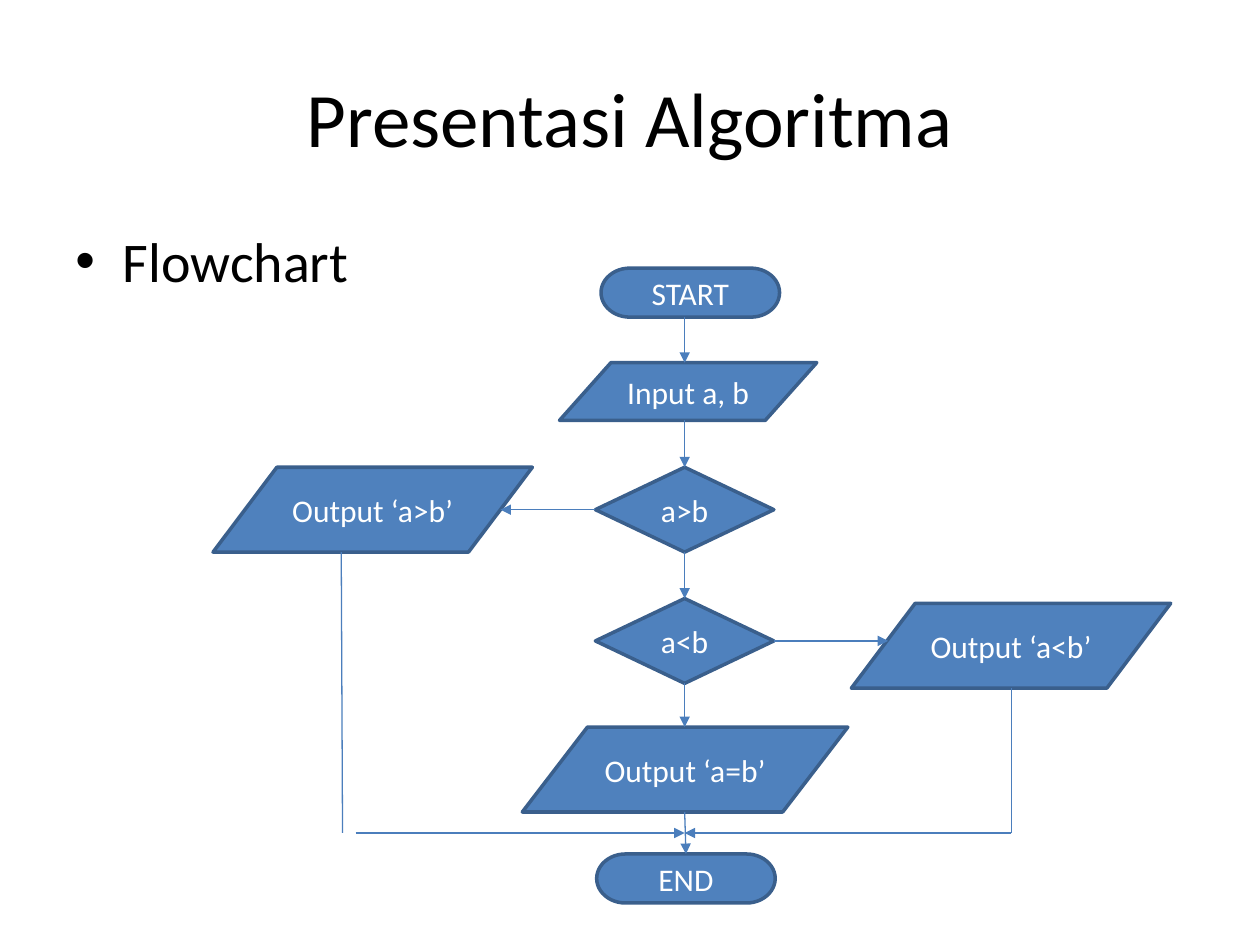
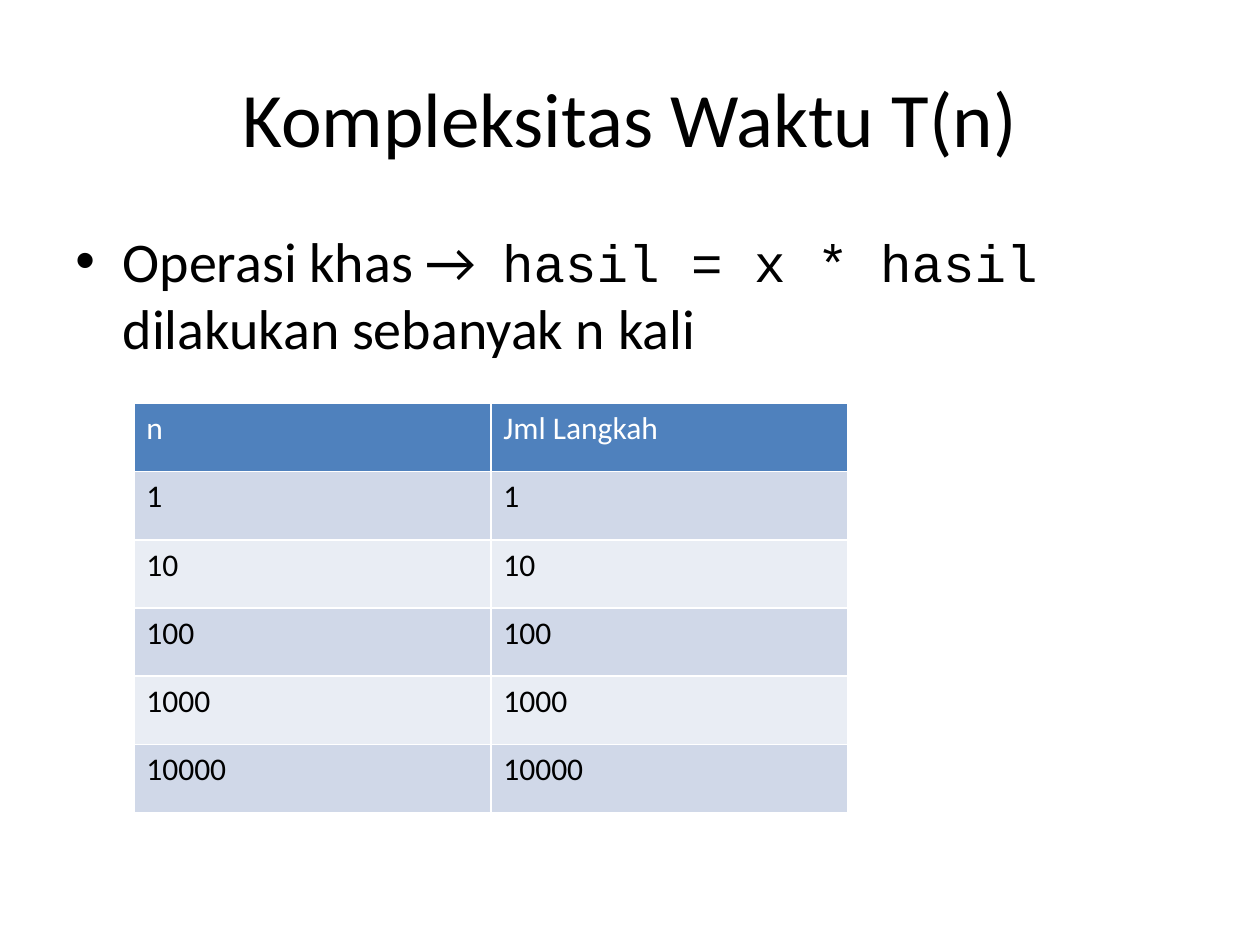
from dataclasses import dataclass
from typing import NamedTuple

from lxml.etree import SubElement
from pptx import Presentation
from pptx.dml.color import RGBColor
from pptx.enum.shapes import MSO_CONNECTOR as Connector, MSO_SHAPE as Preset
from pptx.enum.text import MSO_ANCHOR as Anchor, PP_ALIGN as Align
from pptx.oxml import parse_xml
from pptx.oxml.ns import nsdecls, qn
from pptx.util import Pt

BLUE, NODE_EDGE, LINK = "4F81BD", "3A5F8C", "4B7EBC"
WHITE, BLACK = "FFFFFF", "000000"
BANDS = ("D0D8E8", "E9EDF4")
SANS, MONO = "Calibri", "Courier New"
TOP, LEFT, BOTTOM, RIGHT = range(4)
SPINE, MERGE = 391.25, 476


@dataclass(frozen=True)
class Node:
    text: str
    preset: Preset
    left: float
    top: float
    width: float
    height: float


class Point(NamedTuple):
    x: float
    y: float


class Site(NamedTuple):
    node: str
    side: int


class Link(NamedTuple):
    begin: Point | Site
    end: Point | Site
    arrow: bool = True


class Piece(NamedTuple):
    text: str
    size: float = 32
    font: str = SANS


TERMINATOR = Preset.FLOWCHART_TERMINATOR
DATA = Preset.FLOWCHART_DATA
DECISION = Preset.FLOWCHART_DECISION

NODES = (
    Node("START", TERMINATOR, 343.5, 153.25, 102, 28),
    Node("Input a, b", DATA, 319.75, 207.25, 147, 33),
    Node("a<b", DECISION, 340.25, 342, 102, 48.5),
    Node("a>b", DECISION, 340.25, 267, 102, 48.5),
    Node("END", TERMINATOR, 341, 488, 102, 28),
    Node("Output ‘a<b’", DATA, 486.5, 344.75, 182.5, 48.5),
    Node("Output ‘a=b’", DATA, 298.5, 415.5, 186, 48.5),
    Node("Output ‘a>b’", DATA, 121.75, 267, 182.5, 48.5),
)

LINKS = (
    Link(Point(SPINE, 181.25), Point(SPINE, 207.25)),
    Link(Point(SPINE, 240.25), Site("a>b", TOP)),
    Link(Site("a>b", LEFT), Point(286, 291.25)),
    Link(Site("a>b", BOTTOM), Site("a<b", TOP)),
    Link(Site("a<b", RIGHT), Point(507.5, 366.25)),
    Link(Site("a<b", BOTTOM), Point(SPINE, 415.5)),
    Link(Point(SPINE, 464), Site("END", TOP)),
    Link(Point(578, 393.25), Point(578, MERGE), arrow=False),
    Link(Point(578, MERGE), Point(SPINE, MERGE)),
    Link(Point(195, 315.5), Point(195.75, MERGE), arrow=False),
    Link(Point(203.25, MERGE), Point(SPINE, MERGE)),
)

STEPS = ("n", "Jml Langkah"), *((str(10**power),) * 2 for power in range(5))


def color(value: str) -> RGBColor:
    return RGBColor.from_string(value)


def write(para, text: str, *, size: float = 18, ink: str = BLACK,
          font: str = SANS, align: Align | None = None) -> None:
    if align is not None:
        para.alignment = align
    span = para.add_run()
    span.text = text
    span.font.size = Pt(size)
    span.font.name = font
    span.font.bold = False
    span.font.color.rgb = color(ink)


def add_text_box(page, left: float, top: float, width: float, height: float):
    box = page.shapes.add_textbox(Pt(left), Pt(top), Pt(width), Pt(height))
    box.text_frame.word_wrap = True
    return box.text_frame


def add_page(deck, title: str, lines: tuple[tuple[Piece, ...], ...]):
    page = deck.slides.add_slide(deck.slide_layouts[6])
    heading = add_text_box(page, 36, 21.6, 648, 90)
    heading.vertical_anchor = Anchor.MIDDLE
    write(heading.paragraphs[0], title, size=44, align=Align.CENTER)

    para = add_text_box(page, 36, 126, 648, 356.4).paragraphs[0]
    for number, line in enumerate(lines):
        if number:
            para.add_line_break()
        for piece in line:
            write(para, piece.text, size=piece.size, font=piece.font)
    layout = para._p.get_or_add_pPr()
    layout.set("marL", str(Pt(27)))
    layout.set("indent", str(Pt(-27)))
    SubElement(layout, qn("a:buFont")).set("typeface", "Arial")
    SubElement(layout, qn("a:buChar")).set("char", "•")
    return page


def add_node(page, node: Node):
    shape = page.shapes.add_shape(node.preset, Pt(node.left), Pt(node.top),
                                  Pt(node.width), Pt(node.height))
    shape.shadow.inherit = False
    shape.fill.solid()
    shape.fill.fore_color.rgb = color(BLUE)
    shape.line.color.rgb = color(NODE_EDGE)
    shape.line.width = Pt(2)
    frame = shape.text_frame
    frame.word_wrap = False
    frame.vertical_anchor = Anchor.MIDDLE
    write(frame.paragraphs[0], node.text, ink=WHITE, align=Align.CENTER)
    return shape


def add_link(page, link: Link, shapes: dict) -> None:
    begin, end = (Point(0, 0) if isinstance(place, Site) else place
                  for place in (link.begin, link.end))
    line = page.shapes.add_connector(Connector.STRAIGHT, Pt(begin.x), Pt(begin.y),
                                     Pt(end.x), Pt(end.y))
    if isinstance(link.begin, Site):
        line.begin_connect(shapes[link.begin.node], link.begin.side)
    if isinstance(link.end, Site):
        line.end_connect(shapes[link.end.node], link.end.side)
    line.line.color.rgb = color(LINK)
    line.line.width = Pt(0.75)
    if link.arrow:
        SubElement(line.line._get_or_add_ln(), qn("a:tailEnd")).set("type", "triangle")
    SubElement(line._element.spPr, qn("a:effectLst"))


def add_borders(cell) -> None:
    layout = cell._tc.get_or_add_tcPr()
    for place, side in enumerate("LRTB"):
        layout.insert(place, parse_xml(
            f'<a:ln{side} {nsdecls("a")} w="{Pt(1)}"><a:solidFill>'
            f'<a:srgbClr val="{WHITE}"/></a:solidFill></a:ln{side}>'))


def add_steps_table(page) -> None:
    table = page.shapes.add_table(len(STEPS), 2, Pt(76.5), Pt(230.5),
                                  Pt(408), Pt(234)).table
    for row, values in enumerate(STEPS):
        for column, value in enumerate(values):
            cell = table.cell(row, column)
            cell.fill.solid()
            cell.fill.fore_color.rgb = color(BANDS[(row - 1) % 2] if row else BLUE)
            write(cell.text_frame.paragraphs[0], value, ink=BLACK if row else WHITE)
            add_borders(cell)


def main() -> None:
    deck = Presentation()
    deck.slide_width, deck.slide_height = Pt(720), Pt(540)

    flow_page = add_page(deck, "Presentasi Algoritma", ((Piece("Flowchart"),),))
    shapes = {node.text: add_node(flow_page, node) for node in NODES}
    for link in LINKS:
        add_link(flow_page, link, shapes)

    time_page = add_page(deck, "Kompleksitas Waktu T(n)", (
        (Piece("Operasi khas →"), Piece(" ", 24, MONO),
         Piece("hasil = x * hasil", 30, MONO)),
        (Piece("dilakukan sebanyak n kali"),),
    ))
    add_steps_table(time_page)
    deck.save("out.pptx")


if __name__ == "__main__":
    main()
